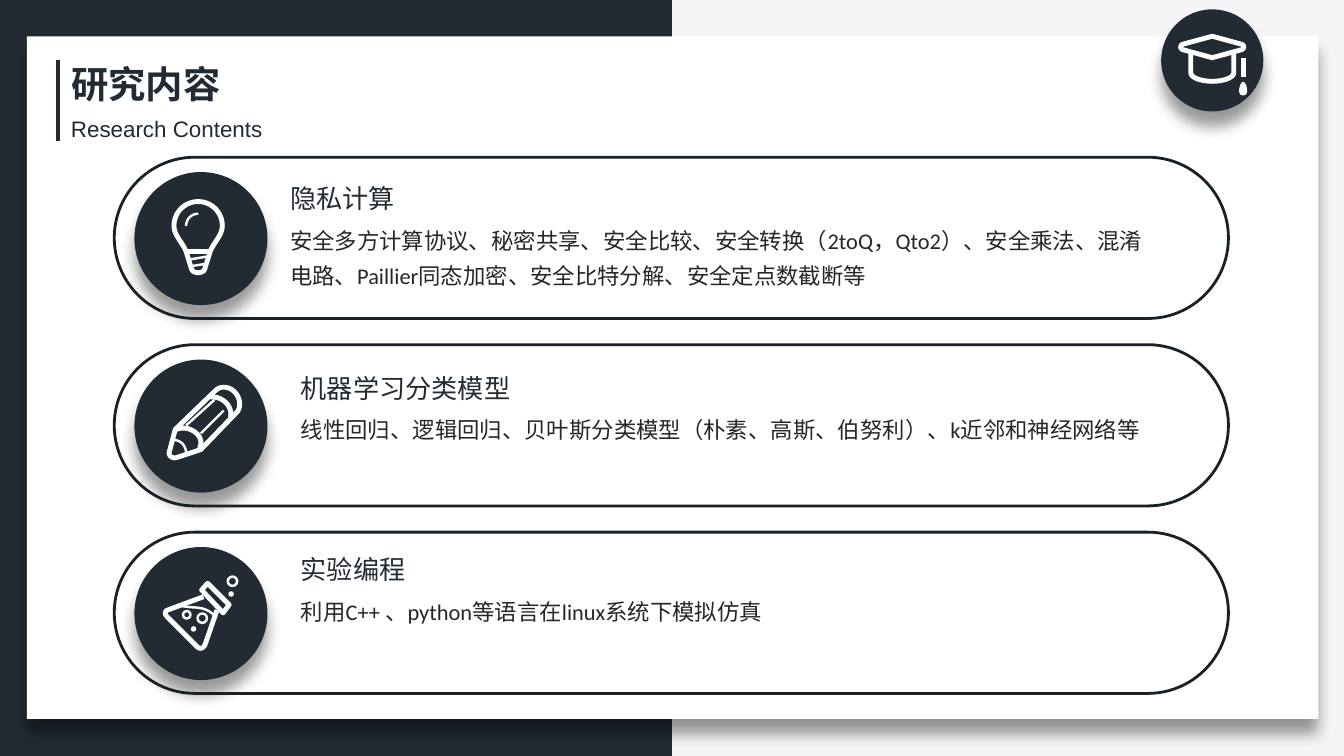
import pptx
import pptx.dml.color
import pptx.enum.shapes
import pptx.enum.text
import pptx.oxml
import pptx.oxml.ns
import pptx.util
from lxml import etree

RGBColor = pptx.dml.color.RGBColor
SHAPE = pptx.enum.shapes.MSO_SHAPE
Inches = pptx.util.Inches
qn = pptx.oxml.ns.qn

NAVY = RGBColor(0x22, 0x2B, 0x34)
OUTLINE = RGBColor(0x19, 0x20, 0x26)
INK = RGBColor(0x26, 0x26, 0x26)
PALE = RGBColor(0xF6, 0xF4, 0xF7)
WHITE = RGBColor(0xFF, 0xFF, 0xFF)
CJK = "Noto Sans CJK SC"

WIDTH = 10
HEIGHT = WIDTH * 9 / 16
ROW_TOP, LAST_ROW_TOP, ROW_HEIGHT = 1.17, 3.96, 1.2
ROW_STEP = (LAST_ROW_TOP - ROW_TOP) / 2
DISC = 0.99
THICK, THIN = 2.6, 1.3

# Icon strokes: (line width, closed, steps), in hundredths of an inch from the disc centre.
# A step of two numbers is a point; a step of six is a cubic curve.
CAP = [
    (THICK, True, [(-22, -12), (0, -18), (22, -12), (24, -11, 24, -9, 22, -8),
                   (0, -2), (-22, -8), (-24, -9, -24, -11, -22, -12)]),
    (THICK, False, [(-16, -5), (-16, 9), (-16, 13, -8, 15.5, 0, 15.5),
                    (8, 15.5, 16, 13, 16, 9), (16, -5)]),
    (THICK, False, [(23, -2), (23, 12)]),
    (0, True, [(23, 16), (21, 16, 20, 21, 20, 22), (20, 25, 21, 26, 23, 26),
               (25, 26, 26, 25, 26, 22), (26, 21, 25, 16, 23, 16)]),
]
BULB = [
    (THICK, True, [(-11, 10), (-14, 3, -20, -2, -20, -9), (-20, -19, -12, -27, -2, -27),
                   (8, -27, 16, -19, 16, -9), (16, -2, 10, 3, 7, 10),
                   (3, 23), (2, 27, -6, 27, -7, 23)]),
    (THICK, False, [(-10, 10), (6, 10)]),
    (THIN, False, [(-8, 16), (4, 14)]),
    (THIN, False, [(-7, 21), (3, 19.5)]),
    (THIN, False, [(-11, -9), (-11, -14, -7, -18, -2, -18)]),
]
PENCIL = [
    (THICK, True, [(-23, 18), (-19, 3), (10, -25), (14, -30, 21, -29, 25, -25),
                   (30, -20, 30, -12, 26, -9), (0, 18), (-18, 24),
                   (-22, 25, -25, 22, -23, 18)]),
    (THICK, False, [(-18, 3), (-9, -1, 4, 8, -1, 17)]),
    (THICK, False, [(7, -21), (16, -22, 24, -14, 22, -6)]),
    (THIN, False, [(-11, 0), (10, -19)]),
    (THIN, False, [(0, 6), (17, -11)]),
    (THIN, False, [(-20, 11), (-15, 11, -11, 15, -11, 21)]),
]
FLASK = [
    (THICK, True, [(0.5, -17), (5, -22), (21, -6), (16.5, 0)]),
    (THICK, False, [(2, -12), (-25, -2), (-27, -1, -27, 1, -25, 3), (-3, 25),
                    (-1, 27, 1, 27, 3, 24), (12, -2)]),
    (THIN, False, [(-14, -5), (-5, -3, 3, -6, 11, 3)]),
]
# Flask bubbles: x, y, radius, hollow
BUBBLES = [(1, 4, 3.5, True), (23.5, -23.5, 3.5, True), (-10.5, 1.5, 2.8, True),
           (-5.5, 12, 2, False), (22.5, -14, 2, False)]

# Heading, body, text left, heading top, body width, body height, icon
TOPICS = [
    ("隐私计算", "安全多方计算协议、秘密共享、安全比较、安全转换（2toQ，Qto2）、安全乘法、"
     "混淆电路、Paillier同态加密、安全比特分解、安全定点数截断等", 2.06, 1.31, 6.67, 0.63, BULB),
    ("机器学习分类模型", "线性回归、逻辑回归、贝叶斯分类模型（朴素、高斯、伯努利）、k近邻和神经网络等",
     2.14, 2.72, 6.92, 0.36, PENCIL),
    ("实验编程", "利用C++ 、python等语言在linux系统下模拟仿真", 2.14, 4.07, 6.92, 0.36, FLASK),
]


def paint(shape, fill=None, line=None, weight=0):
    shape.shadow.inherit = False
    if fill is None:
        shape.fill.background()
    else:
        shape.fill.solid()
        shape.fill.fore_color.rgb = fill
    if line is None:
        shape.line.fill.background()
    else:
        shape.line.color.rgb = line
        shape.line.width = pptx.util.Pt(weight)


def add_block(page, kind, left, top, width, height, **style):
    shape = page.shapes.add_shape(kind, *map(Inches, (left, top, width, height)))
    paint(shape, **style)
    return shape


def cast_shadow(shape):
    effects = shape._element.spPr.find(qn("a:effectLst"))
    shadow = etree.SubElement(effects, qn("a:outerShdw"), blurRad="101600", dist="101600",
                              dir="5400000", algn="t", rotWithShape="0")
    color = etree.SubElement(shadow, qn("a:srgbClr"), val="000000")
    etree.SubElement(color, qn("a:alpha"), val="40000")


def trace(steps):
    """Turn points and cubic curves into a list of points."""
    points = []
    for step in steps:
        if len(step) == 2:
            points.append(step)
            continue
        x0, y0 = points[-1]
        x1, y1, x2, y2, x3, y3 = step
        for t in (i / 10 for i in range(1, 11)):
            a, b, c, d = (1 - t) ** 3, 3 * t * (1 - t) ** 2, 3 * t * t * (1 - t), t ** 3
            points.append((a * x0 + b * x1 + c * x2 + d * x3,
                           a * y0 + b * y1 + c * y2 + d * y3))
    return points


def add_icon(page, x, y, strokes):
    for weight, closed, steps in strokes:
        points = [(Inches(x + dx / 100), Inches(y + dy / 100)) for dx, dy in trace(steps)]
        builder = page.shapes.build_freeform(*points[0])
        builder.add_line_segments(points[1:], close=closed)
        shape = builder.convert_to_shape()
        if weight:
            paint(shape, line=WHITE, weight=weight)
            etree.SubElement(shape.line._get_or_add_ln(), qn("a:round"))
        else:
            paint(shape, fill=WHITE)


def add_bubbles(page, x, y):
    for dx, dy, radius, hollow in BUBBLES:
        style = {"line": WHITE, "weight": THIN} if hollow else {"fill": WHITE}
        add_block(page, SHAPE.OVAL, x + (dx - radius) / 100, y + (dy - radius) / 100,
                  radius / 50, radius / 50, **style)


def add_disc(page, left, top, size):
    cast_shadow(add_block(page, SHAPE.OVAL, left, top, size, size, fill=NAVY))


def add_text(page, text, left, top, width, height, size, font, color=NAVY, bold=None, body=False):
    box = page.shapes.add_textbox(*map(Inches, (left, top, width, height)))
    frame = box.text_frame
    frame.text = text
    frame.word_wrap = body
    frame.auto_size = pptx.enum.text.MSO_AUTO_SIZE.SHAPE_TO_FIT_TEXT
    para = frame.paragraphs[0]
    if body:
        para.line_spacing = 1.3
    span = para.runs[0]
    span.font.size = pptx.util.Pt(size)
    span.font.name = font
    span.font.bold = bold
    span.font.color.rgb = color
    etree.SubElement(span.font._element, qn("a:ea"), typeface=CJK)


def add_frame(page):
    page.background.fill.solid()
    page.background.fill.fore_color.rgb = PALE
    add_block(page, SHAPE.RECTANGLE, 0, 0, WIDTH / 2, HEIGHT, fill=NAVY)
    cast_shadow(add_block(page, SHAPE.RECTANGLE, 0.2, 0.27, 9.61, 5.08, fill=WHITE))
    rule = page.shapes.add_connector(pptx.enum.shapes.MSO_CONNECTOR.STRAIGHT,
                                     *map(Inches, (0.43, 0.45, 0.43, 1.05)))
    rule.line.color.rgb = NAVY
    rule.line.width = pptx.util.Pt(2.25)
    etree.SubElement(rule._element.spPr, qn("a:effectLst"))
    add_disc(page, 8.64, 0.07, 0.76)
    add_icon(page, 9.02, 0.45, CAP)


def add_topic(page, row, heading, body, left, top, width, height, icon):
    row_top = ROW_TOP + row * ROW_STEP
    middle = row_top + ROW_HEIGHT / 2
    add_disc(page, 1, row_top + 0.11, DISC)
    pill = add_block(page, SHAPE.ROUNDED_RECTANGLE, 0.85, row_top, 8.29, ROW_HEIGHT,
                     line=OUTLINE, weight=1.5)
    pill.adjustments[0] = 0.5
    add_text(page, heading, left, top, 0.2 + 0.2 * len(heading), 0.34, 14, "Arial")
    add_text(page, body, left, top + 0.27, width, height, 12, "Calibri", INK, body=True)
    add_icon(page, 1 + DISC / 2, middle, icon)
    if icon is FLASK:
        add_bubbles(page, 1 + DISC / 2, middle)


def main():
    deck = pptx.Presentation()
    deck.slide_width, deck.slide_height = Inches(WIDTH), Inches(HEIGHT)
    page = deck.slides.add_slide(deck.slide_layouts[6])
    add_frame(page)
    # Title
    add_text(page, "研究内容", 0.43, 0.41, 1.32, 0.44, 20, CJK, bold=True)
    add_text(page, "Research Contents", 0.43, 0.81, 1.64, 0.3, 12, "Arial")
    # Research topics
    for row, topic in enumerate(TOPICS):
        add_topic(page, row, *topic)
    deck.save("out.pptx")


if __name__ == "__main__":
    main()
